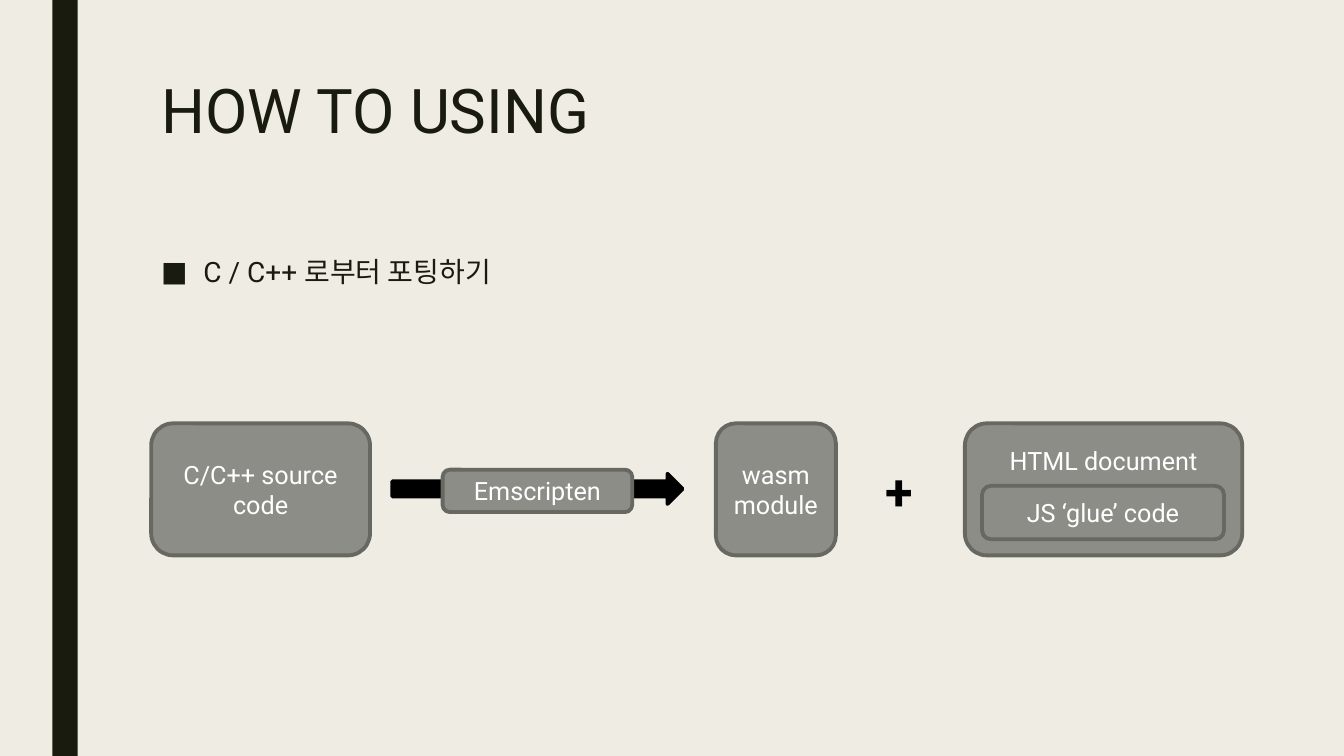
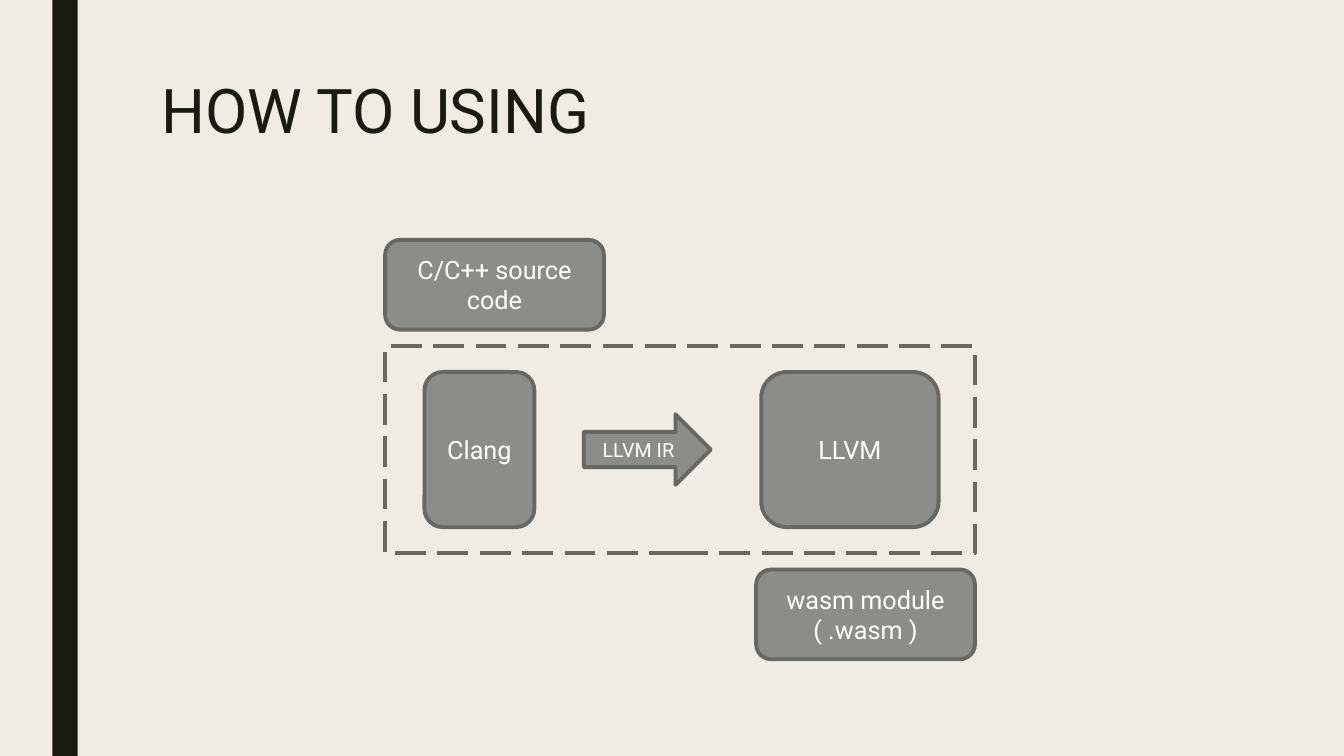
from lxml import etree
from pptx import Presentation
from pptx.dml.color import RGBColor
from pptx.enum.dml import MSO_LINE as Dash
from pptx.enum.shapes import MSO_SHAPE as Kind
from pptx.enum.text import MSO_ANCHOR as Anchor, MSO_AUTO_SIZE as Fit, PP_ALIGN as Align
from pptx.oxml.ns import qn
from pptx.util import Inches, Pt

FONT = "Roboto"
COLORS = {"paper": "EFEDE3", "ink": "191B0E", "box": "8C8D86",
          "edge": "686863", "black": "000000", "white": "FFFFFF"}
TITLE = "HOW TO USING"
BULLET = "C / C++ 로부터 포팅하기"
ROUND, ARROW = Kind.ROUNDED_RECTANGLE, Kind.RIGHT_ARROW

# Rows shared by several parts: top, height
FLOW_TOP, FLOW_H = 4.2, 1.31
STAGE_TOP, STAGE_H = 3.69, 1.54
FRAME = (3.82, 3.43, 5.85, 2.06)
CARD_W, CARD_H, CARD_GAP = 2.17, 0.89, 0.16

# Each part: shape, (left, top, width, height), text, style changes
PORTING = [
    (ROUND, (1.5, FLOW_TOP, CARD_W, FLOW_H), "C/C++ source code", {}),
    (ARROW, (3.89, 4.7, 2.88, 0.3), "", {"fill": "black", "edge": "black"}),
    (ROUND, (4.39, 4.66, 1.88, 0.42), "Emscripten", {}),
    (ROUND, (7.1, FLOW_TOP, 1.19, FLOW_H), "wasm\nmodule", {}),
    (ROUND, (9.57, FLOW_TOP, 2.75, FLOW_H), "HTML document", {"inset": 0.15}),
    (ROUND, (9.74, 4.82, 2.4, 0.53), "JS ‘glue’ code", {}),
]
COMPILER = [
    (ROUND, (FRAME[0], FRAME[1] - CARD_GAP - CARD_H, CARD_W, CARD_H),
     "C/C++ source code", {}),
    (ROUND, (FRAME[0] + FRAME[2] - CARD_W, FRAME[1] + FRAME[3] + CARD_GAP,
             CARD_W, CARD_H), "wasm module\n( .wasm )", {}),
    (Kind.RECTANGLE, FRAME, "", {"fill": None, "dash": Dash.LONG_DASH}),
    (ROUND, (4.21, STAGE_TOP, 1.09, STAGE_H), "Clang", {}),
    (ARROW, (5.79, 4.11, 1.26, 0.7), "LLVM IR", {"size": 14}),
    (ROUND, (7.55, STAGE_TOP, 1.76, STAGE_H), "LLVM", {}),
]


def rgb(name):
    return RGBColor.from_string(COLORS[name])


def write(frame, text, size, color, align=Align.LEFT, spacing=None, bold=False):
    frame.text = text
    for para in frame.paragraphs:
        para.alignment = align
        para.line_spacing = spacing
        font = para.font
        font.name, font.size, font.bold = FONT, Pt(size), bold
        font.color.rgb = rgb(color)


def add_part(slide, kind, at, text="", fill="box", edge="edge", dash=None,
             size=18, inset=None):
    """Add a shape; an inset sets its text that far below the top."""
    part = slide.shapes.add_shape(kind, *map(Inches, at))
    part.shadow.inherit = False
    if fill:
        part.fill.solid()
        part.fill.fore_color.rgb = rgb(fill)
    else:
        part.fill.background()
    if edge:
        part.line.color.rgb = rgb(edge)
        part.line.width = Pt(2.75)
        if dash:
            part.line.dash_style = dash
    else:
        part.line.fill.background()
    if text:
        frame = part.text_frame
        frame.word_wrap = True
        frame.vertical_anchor = Anchor.MIDDLE
        if inset is not None:
            frame.vertical_anchor = Anchor.TOP
            frame.margin_top = Inches(inset)
        write(frame, text, size, "white", Align.CENTER)
    return part


def add_label(slide, at, text, size, color, **style):
    box = slide.shapes.add_textbox(*map(Inches, at))
    box.text_frame.word_wrap = True
    write(box.text_frame, text, size, color, **style)
    return box.text_frame


def add_bullet(para, indent):
    props = para._p.get_or_add_pPr()
    props.set("marL", str(Inches(indent)))
    props.set("indent", str(-Inches(indent)))
    etree.SubElement(props, qn("a:buFont")).set("typeface", FONT)
    etree.SubElement(props, qn("a:buChar")).set("char", "■")


def add_slide(deck, parts):
    slide = deck.slides.add_slide(deck.slide_layouts[5])
    add_part(slide, Kind.RECTANGLE, (0.52, 0, 0.25, 7.5), fill="ink", edge=None)
    title = slide.shapes.title
    title.left, title.top, title.width, title.height = map(
        Inches, (1.5, 0.75, 10.5, 1.62))
    frame = title.text_frame
    frame.auto_size, frame.vertical_anchor = Fit.NONE, Anchor.TOP
    write(frame, TITLE, 44, "ink", spacing=0.89)
    for kind, at, text, style in parts:
        add_part(slide, kind, at, text, **style)
    return slide


def main():
    deck = Presentation()
    deck.slide_width, deck.slide_height = Inches(13.33), Inches(7.5)
    back = deck.slide_master.background.fill
    back.solid()
    back.fore_color.rgb = rgb("paper")

    porting = add_slide(deck, PORTING)
    body = add_label(porting, (1.5, 2.5, 10.5, 1.03), BULLET, 20, "ink", spacing=0.94)
    add_bullet(body.paragraphs[0], 0.42)
    plus = add_label(porting, (8.68, 4.52, 0.5, 0.71), "+", 36, "black", bold=True)
    plus.word_wrap = False

    add_slide(deck, COMPILER)
    deck.save("out.pptx")


if __name__ == "__main__":
    main()
